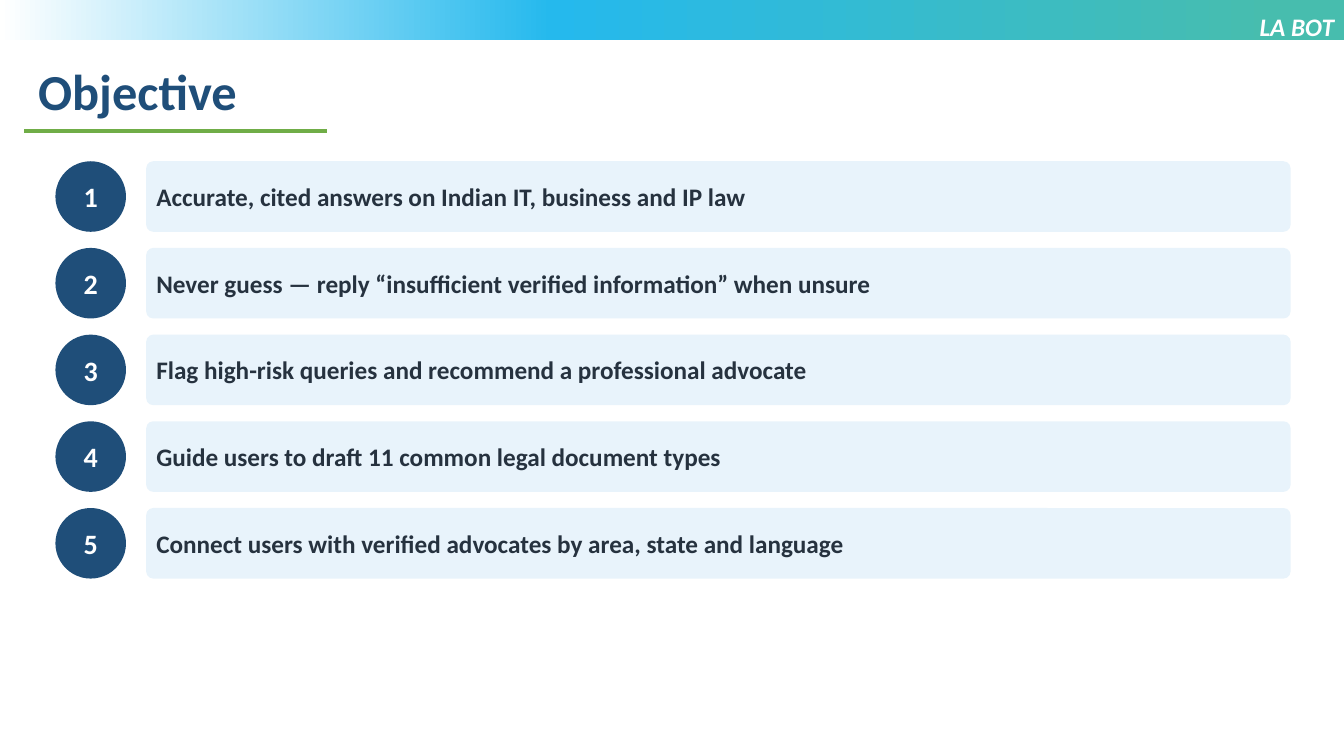
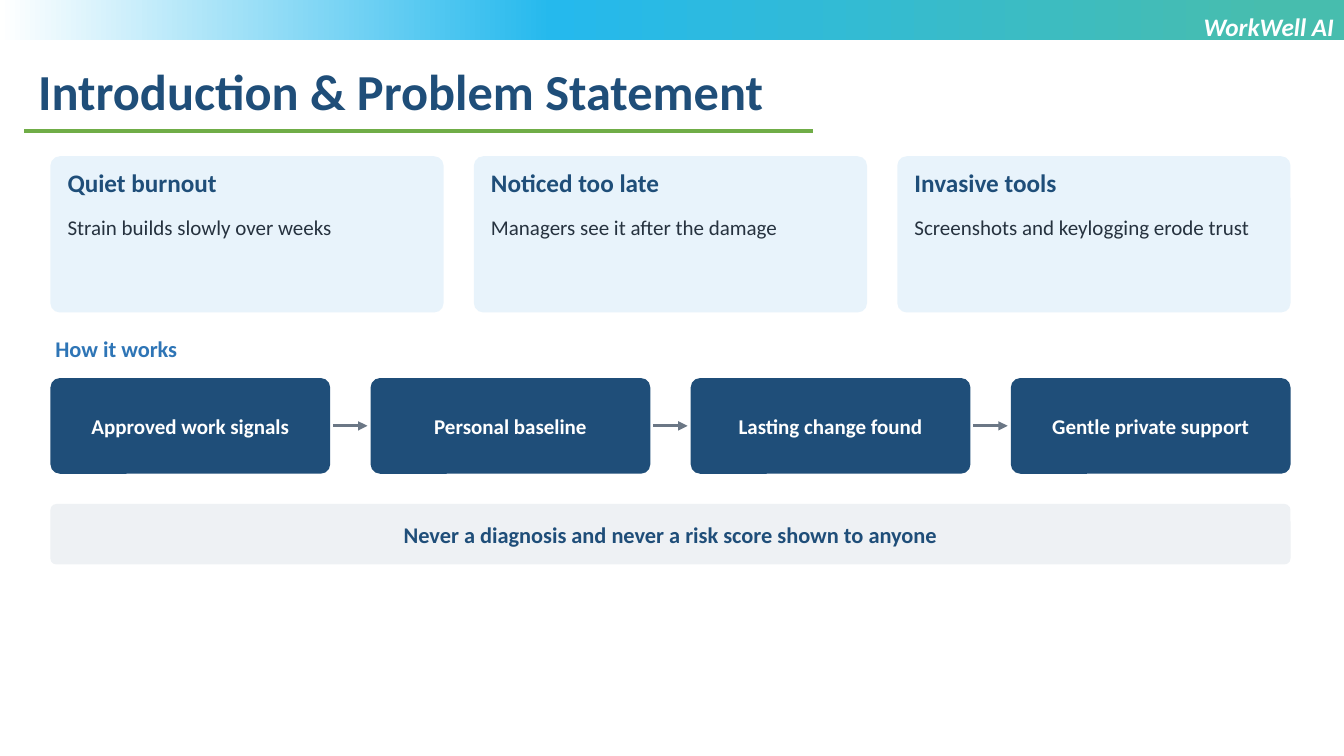
from copy import deepcopy

from pptx import Presentation
from pptx.dml.color import RGBColor
from pptx.enum.shapes import MSO_CONNECTOR, MSO_SHAPE as SHAPE
from pptx.enum.text import MSO_ANCHOR, MSO_AUTO_SIZE, PP_ALIGN as ALIGN
from pptx.oxml.ns import qn
from pptx.util import Emu, Pt

EMU_PER_PX = 9144
SLIDE_W, SLIDE_H = 1333, 750
LEFT, CONTENT_W = 50, 1230
FONT = "Calibri"
NAVY, BLUE, GREEN, GRAY = "1F4E79", "2E75B6", "70AD47", "6B7785"
INK, PALE, SILVER, WHITE = "26323F", "E8F3FB", "EEF1F4", "FFFFFF"
BAND_STOPS = [(0.05, "47BDAE"), (0.59, "25B9ED"), (1, WHITE)]

OBJECTIVES = [
    "Accurate, cited answers on Indian IT, business and IP law",
    "Never guess — reply “insufficient verified information” when unsure",
    "Flag high-risk queries and recommend a professional advocate",
    "Guide users to draft 11 common legal document types",
    "Connect users with verified advocates by area, state and language",
]
PROBLEMS = [
    ("Quiet burnout", "Strain builds slowly over weeks"),
    ("Noticed too late", "Managers see it after the damage"),
    ("Invasive tools", "Screenshots and keylogging erode trust"),
]
STEPS = [
    "Approved work signals",
    "Personal baseline",
    "Lasting change found",
    "Gentle private support",
]


def px(*lengths):
    return [Emu(round(length * EMU_PER_PX)) for length in lengths]


def color(hex_code):
    return RGBColor.from_string(hex_code)


def write(frame, text, size, ink, bold=True, italic=False,
          align=ALIGN.LEFT, insets=(10, 5)):
    side, edge = px(*insets)
    frame.margin_left = frame.margin_right = side
    frame.margin_top = frame.margin_bottom = edge
    frame.word_wrap = True
    paragraph = frame.paragraphs[0]
    paragraph.text = text
    paragraph.alignment = align
    font = paragraph.font
    font.name, font.size = FONT, Pt(size)
    font.bold, font.italic = bold, italic
    font.color.rgb = color(ink)


def add_text(slide, box, text, size, ink, **style):
    frame = slide.shapes.add_textbox(*px(*box)).text_frame
    write(frame, text, size, ink, **style)
    frame.auto_size = MSO_AUTO_SIZE.SHAPE_TO_FIT_TEXT


def add_panel(slide, box, fill, kind=SHAPE.ROUNDED_RECTANGLE, rounding=0.1):
    panel = slide.shapes.add_shape(kind, *px(*box))
    panel.shadow.inherit = False
    panel.fill.solid()
    panel.fill.fore_color.rgb = color(fill)
    panel.line.fill.background()
    if kind == SHAPE.ROUNDED_RECTANGLE:
        panel.adjustments[0] = rounding
    return panel


def add_label(panel, text, size, ink, align=ALIGN.CENTER, insets=(8, 4)):
    panel.text_frame.vertical_anchor = MSO_ANCHOR.MIDDLE
    write(panel.text_frame, text, size, ink, align=align, insets=insets)


def add_rule(slide, start, end, y, stroke, arrow=False):
    rule = slide.shapes.add_connector(
        MSO_CONNECTOR.STRAIGHT, *px(start, y, end, y))
    rule.line.color.rgb = color(stroke)
    rule.line.width = Pt(2.25)
    properties = rule.element.spPr
    if arrow:
        outline = properties.find(qn("a:ln"))
        head = outline.makeelement(qn("a:tailEnd"), {"type": "triangle"})
        outline.append(head)
    properties.append(properties.makeelement(qn("a:effectLst"), {}))


def add_shared_band(slide):
    band = add_panel(slide, (0, 0, SLIDE_W, 40), WHITE, SHAPE.RECTANGLE)
    band.fill.gradient()
    band.fill.gradient_angle = 180
    stops = band.element.xpath(".//a:gsLst")[0]
    stops.append(deepcopy(stops[0]))
    for stop, (position, tint) in zip(band.fill.gradient_stops, BAND_STOPS):
        stop.position = position
        stop.color.rgb = color(tint)
    slide.slide_layout.shapes.element.append(band.element)


def add_heading(slide, title, project, rule_end):
    add_text(slide, (28, 55, 1162, 71), title, 36, NAVY)
    add_rule(slide, 24, rule_end, 130, GREEN)
    add_text(slide, (666, 6, 667, 71), project, 18, WHITE,
             italic=True, align=ALIGN.RIGHT)


def add_objective(slide, number, objective):
    top = 160 + (number - 1) * 86
    badge = add_panel(slide, (55, top, 70, 70), NAVY, SHAPE.OVAL)
    add_label(badge, str(number), 20, WHITE, insets=(0, 5))
    bar = add_panel(slide, (145, top, 1135, 70), PALE)
    add_label(bar, objective, 18, INK, align=ALIGN.LEFT)


def add_problem(slide, left, width, heading, detail):
    add_panel(slide, (left, 155, width, 155), PALE, rounding=0.06)
    text_left, text_w = left + 12, width - 24
    add_text(slide, (text_left, 163, text_w, 40), heading, 18, NAVY,
             insets=(5, 3))
    add_text(slide, (text_left, 210, text_w, 95), detail, 15, INK,
             bold=False, insets=(5, 3))


def columns(count, gap):
    width = (CONTENT_W - gap * (count - 1)) / count
    return width, [LEFT + i * (width + gap) for i in range(count)]


def add_flow(slide, steps):
    top, height, gap = 375, 95, 40
    width, lefts = columns(len(steps), gap)
    for left, step in zip(lefts, steps):
        add_label(add_panel(slide, (left, top, width, height), NAVY),
                  step, 15, WHITE)
    for left in lefts[1:]:
        add_rule(slide, left - gap + 3, left - 3, top + height / 2, GRAY,
                 arrow=True)


def build_objective(slide):
    add_heading(slide, "Objective", "LA BOT", 324)
    for number, objective in enumerate(OBJECTIVES, 1):
        add_objective(slide, number, objective)


def build_introduction(slide):
    add_heading(slide, "Introduction & Problem Statement", "WorkWell AI", 806)
    width, lefts = columns(len(PROBLEMS), 30)
    for left, (heading, detail) in zip(lefts, PROBLEMS):
        add_problem(slide, left, width, heading, detail)
    add_text(slide, (LEFT, 330, 1200, 40), "How it works", 16, BLUE,
             insets=(5, 3))
    add_flow(slide, STEPS)
    promise = add_panel(slide, (LEFT, 500, CONTENT_W, 60), SILVER)
    add_label(promise,
              "Never a diagnosis and never a risk score shown to anyone",
              16, NAVY)


def main():
    deck = Presentation()
    deck.slide_width, deck.slide_height = px(SLIDE_W, SLIDE_H)
    blank = deck.slide_layouts[6]
    objective = deck.slides.add_slide(blank)
    introduction = deck.slides.add_slide(blank)
    add_shared_band(objective)
    build_objective(objective)
    build_introduction(introduction)
    deck.save("out.pptx")


if __name__ == "__main__":
    main()
